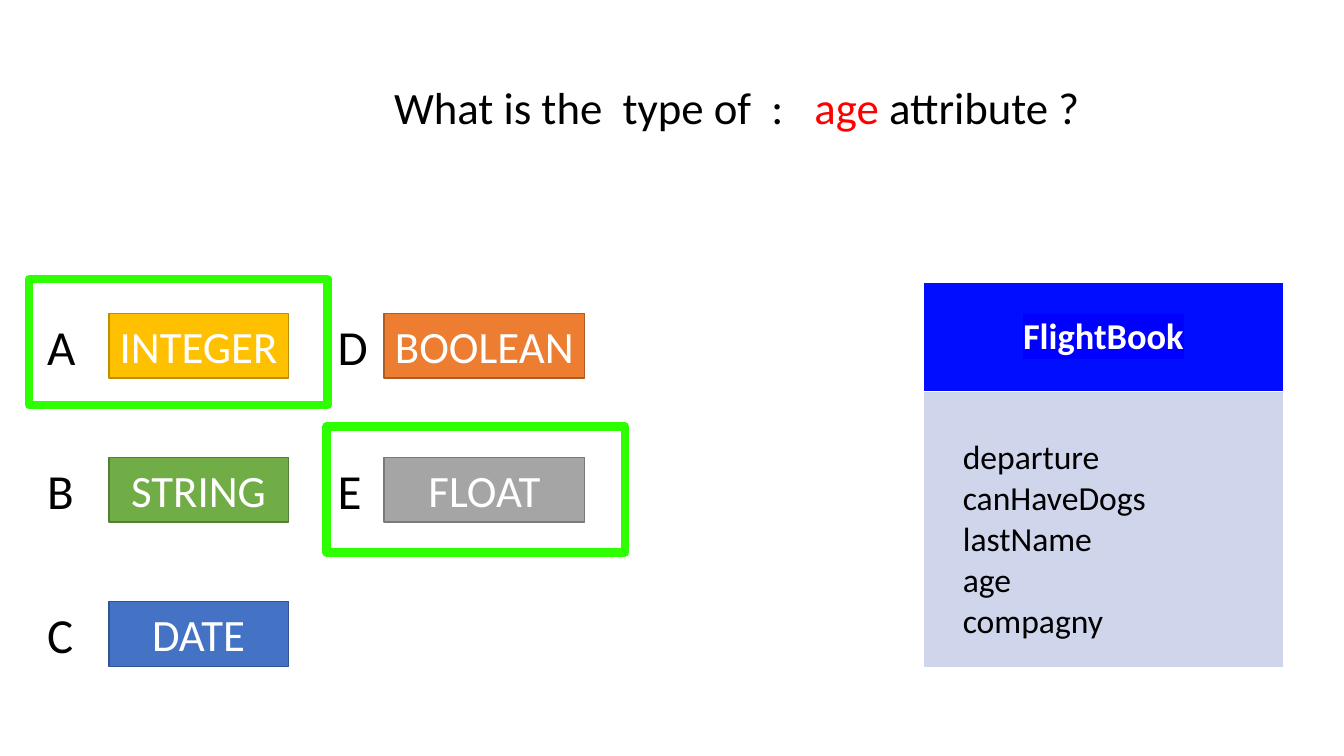
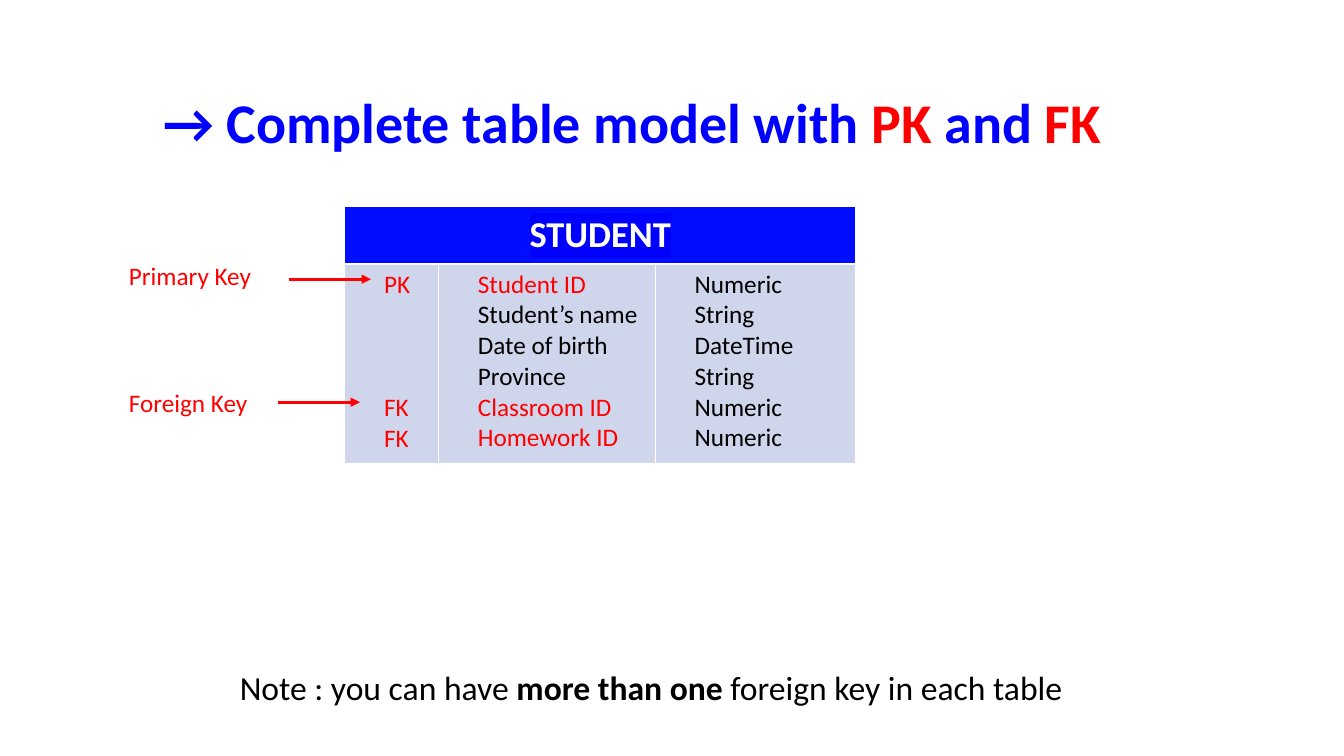
from lxml import etree
from pptx import Presentation
from pptx.dml.color import RGBColor
from pptx.enum import shapes, text
from pptx.oxml import ns
from pptx.util import Inches, Pt

FONT = "Calibri"
BLACK = RGBColor(0x00, 0x00, 0x00)
WHITE = RGBColor(0xFF, 0xFF, 0xFF)
RED = RGBColor(0xFF, 0x00, 0x00)
BLUE = RGBColor(0x00, 0x00, 0xFF)
HEADER_BLUE = RGBColor(0x00, 0x0D, 0xFF)
CELL_BLUE = RGBColor(0xCF, 0xD5, 0xEA)
GREEN_FRAME = RGBColor(0x2E, 0xFF, 0x00)
# Fill and outline of each answer
AMBER = RGBColor(0xFF, 0xC0, 0x00), RGBColor(0xBD, 0x8E, 0x00)
GREEN = RGBColor(0x70, 0xAD, 0x47), RGBColor(0x53, 0x80, 0x35)
SKY = RGBColor(0x44, 0x72, 0xC4), RGBColor(0x32, 0x54, 0x91)
ORANGE = RGBColor(0xED, 0x7D, 0x31), RGBColor(0xAF, 0x5C, 0x24)
GREY = RGBColor(0xA5, 0xA5, 0xA5), RGBColor(0x7A, 0x7A, 0x7A)


def inches(*lengths):
    return [Inches(length) for length in lengths]


def style(run, size, color, bold=False):
    run.font.name = FONT
    run.font.size = Pt(size)
    run.font.bold = bold
    run.font.color.rgb = color


def add_words(slide, box, parts, size, wrap=True):
    """One line of text; each part is (words, colour, bold)."""
    frame = slide.shapes.add_textbox(*inches(*box)).text_frame
    frame.word_wrap = wrap
    frame.auto_size = text.MSO_AUTO_SIZE.SHAPE_TO_FIT_TEXT
    for words, color, bold in parts:
        run = frame.paragraphs[0].add_run()
        run.text = words
        style(run, size, color, bold)


def add_rectangle(slide, box, line_color, line_width, fill=None):
    rectangle = slide.shapes.add_shape(shapes.MSO_SHAPE.RECTANGLE, *inches(*box))
    rectangle.shadow.inherit = False
    rectangle.line.color.rgb = line_color
    rectangle.line.width = Pt(line_width)
    if fill is None:
        rectangle.fill.background()
    else:
        rectangle.fill.solid()
        rectangle.fill.fore_color.rgb = fill
    return rectangle


def highlight(run, color):
    mark = etree.Element(ns.qn("a:highlight"))
    etree.SubElement(mark, ns.qn("a:srgbClr"), val=str(color))
    run.font._element.find(ns.qn("a:solidFill")).addnext(mark)


def fill_cell(cell, color):
    cell.fill.solid()
    cell.fill.fore_color.rgb = color


def add_entity(slide, box, header_height, title, widths, columns, size,
               top_margin=0.05):
    """Entity table: a title row over one cell per column of (words, colour, gap)."""
    table = slide.shapes.add_table(2, len(widths), *inches(*box)).table
    for column, width in zip(table.columns, widths):
        column.width = Inches(width)
    table.rows[0].height = Inches(header_height)
    table.rows[1].height = Inches(box[3] - header_height)

    # Title row
    header = table.cell(0, 0)
    if len(widths) > 1:
        header.merge(table.cell(0, len(widths) - 1))
    fill_cell(header, HEADER_BLUE)
    header.vertical_anchor = text.MSO_ANCHOR.MIDDLE
    header.text_frame.text = title
    heading = header.text_frame.paragraphs[0]
    heading.alignment = text.PP_ALIGN.CENTER
    style(heading.runs[0], 26, WHITE, True)
    highlight(heading.runs[0], BLUE)

    # Attribute cells
    for index, entries in enumerate(columns):
        cell = table.cell(1, index)
        fill_cell(cell, CELL_BLUE)
        cell.margin_left = Inches(0.39)
        cell.margin_top = Inches(top_margin)
        cell.text_frame.text = "\n".join(entry[0] for entry in entries)
        for paragraph, (_, color, gap) in zip(cell.text_frame.paragraphs, entries):
            paragraph.space_before = Pt(gap)
            style(paragraph.runs[0], size, color)


def add_answers(slide, box):
    """Lettered answers in columns of three, inside the given box."""
    left, top, _, height = box
    answer_height = 0.64
    pitch = (height - answer_height) / 2
    columns = [
        (0, 0.71, 1.78, [("A", "INTEGER", AMBER), ("B", "STRING", GREEN),
                         ("C", "DATE", SKY)]),
        (2.88, 3.44, 1.99, [("D", "BOOLEAN", ORANGE), ("E", "FLOAT", GREY)]),
    ]
    for letter_x, answer_x, width, answers in columns:
        for row, (letter, answer, (fill, outline)) in enumerate(answers):
            y = top + row * pitch
            choice = add_rectangle(
                slide, (left + answer_x, y, width, answer_height), outline, 1, fill)
            choice.text_frame.word_wrap = False
            choice.text_frame.text = answer
            paragraph = choice.text_frame.paragraphs[0]
            paragraph.alignment = text.PP_ALIGN.CENTER
            style(paragraph.runs[0], 32, WHITE)
            add_words(slide, (left + letter_x, y - 0.02, 0.49, 0.69),
                      [(letter, BLACK, False)], 35, wrap=False)
    # Frames around the right answers
    for x, y in ((-0.08, -0.34), (2.87, 1.12)):
        add_rectangle(slide, (left + x, top + y, 2.96, 1.25), GREEN_FRAME, 6)


def add_key_label(slide, box, label, arrow_x, arrow_y):
    """Red label with an arrow to its row in the table."""
    left, top, _, _ = box
    add_words(slide, box, [(label, RED, False)], 18)
    x, y = left + arrow_x, top + arrow_y
    arrow = slide.shapes.add_connector(
        shapes.MSO_CONNECTOR.STRAIGHT, *inches(x, y, x + 0.81, y))
    arrow.line.color.rgb = RED
    arrow.line.width = Pt(2.25)
    line = arrow.line._get_or_add_ln()
    etree.SubElement(line, ns.qn("a:tailEnd"), type="triangle")
    etree.SubElement(arrow._element.spPr, ns.qn("a:effectLst"))


def build_question(slide):
    attributes = ["departure", "canHaveDogs", "lastName", "age", "compagny"]
    add_entity(slide, (9.16, 2.8, 3.57, 3.82), 1.08, "FlightBook", [3.57],
               [[(name, BLACK, 0) for name in attributes]], 24, top_margin=0.46)
    add_words(slide, (3.81, 0.74, 7.08, 0.64),
              [("What is the  type of  :   ", BLACK, False), ("age ", RED, False),
               ("attribute ?", BLACK, False)], 32, wrap=False)
    add_answers(slide, (0.37, 3.11, 5.43, 3.5))


def build_table_model(slide):
    # Each field: name, type, whether it is a key
    fields = [("Student ID", "Numeric", True), ("Student’s name", "String", False),
              ("Date of birth", "DateTime", False), ("Province", "String", False),
              ("Classroom ID", "Numeric", True), ("Homework ID", "Numeric", True)]
    three_lines = 66
    keys = [("PK", RED, 0), ("FK", RED, three_lines), ("FK", RED, 0)]
    names = [(name, RED if key else BLACK, 0) for name, _, key in fields]
    kinds = [(kind, BLACK, 0) for _, kind, _ in fields]
    add_entity(slide, (3.42, 2.05, 5.07, 2.55), 0.57, "STUDENT",
               [0.93, 2.15, 1.99], [keys, names, kinds], 18)
    add_key_label(slide, (1.18, 2.53, 1.58, 0.4), "Primary Key", 1.69, 0.24)
    add_key_label(slide, (1.18, 3.79, 1.58, 0.4), "Foreign Key", 1.58, 0.2)
    add_words(slide, (1.52, 0.82, 9.88, 0.77),
              [("→ Complete table model with ", BLUE, True), ("PK", RED, True),
               (" and ", BLUE, True), ("FK", RED, True)], 40)
    add_words(slide, (2.28, 6.57, 8.37, 0.5),
              [("Note : you can have ", BLACK, False), ("more than one ", BLACK, True),
               ("foreign key in each table", BLACK, False)], 24)


deck = Presentation()
deck.slide_width, deck.slide_height = inches(13.33, 7.5)
blank = deck.slide_layouts[6]
for build in (build_question, build_table_model):
    build(deck.slides.add_slide(blank))
deck.save("out.pptx")
